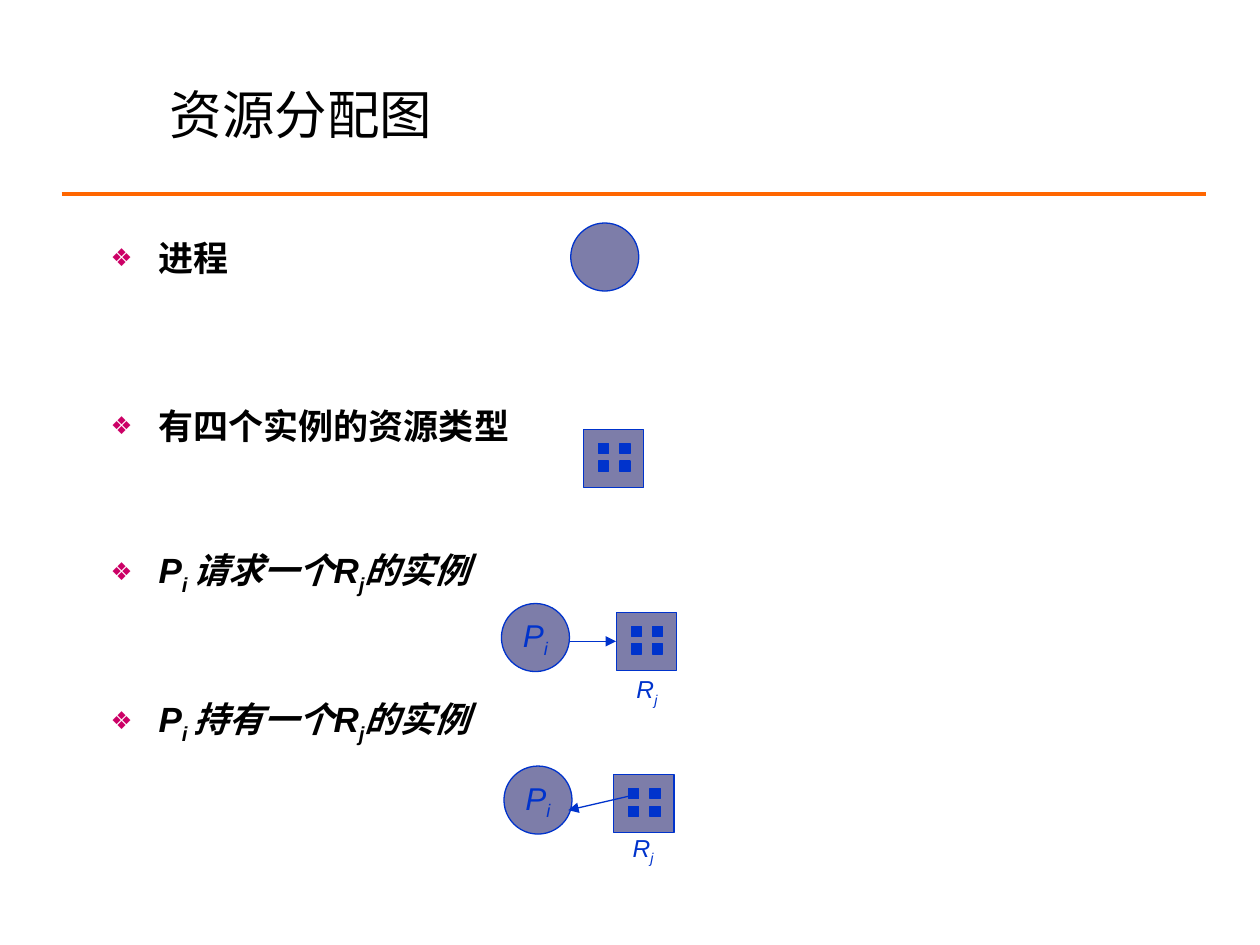
from dataclasses import dataclass
from itertools import product

from lxml.etree import SubElement
from pptx import Presentation
from pptx.dml.color import RGBColor
from pptx.enum.shapes import MSO_CONNECTOR as Connector, MSO_SHAPE as Shape
from pptx.enum.text import MSO_ANCHOR as Anchor, PP_ALIGN as Align
from pptx.oxml.ns import qn
from pptx.util import Inches, Pt


@dataclass(frozen=True)
class Theme:
    font: str = "Arial"
    ink: str = "000000"
    blue: str = "0033CC"
    node: str = "7D7DA9"
    rule: str = "FF6600"
    bullet: str = "CC0066"
    title_size: int = 30
    body_size: int = 20
    node_size: int = 18
    label_size: int = 14
    line: float = 0.75
    rule_line: float = 2.25


THEME = Theme()
CIRCLE = 0.54
BOX_W, BOX_H = 0.48, 0.46


def write(paragraph, text, size, color=THEME.ink, bold=False, italic=False):
    """Write text; parts between underscores are set as subscripts."""
    for index, part in enumerate(text.split("_")):
        if not part:
            continue
        run = paragraph.add_run()
        run.text = part
        font = run.font
        font.name, font.size = THEME.font, Pt(size)
        font.bold, font.italic = bold, italic
        font.color.rgb = RGBColor.from_string(color)
        if index % 2:
            run._r.get_or_add_rPr().set("baseline", "-25000")


def add_text_frame(slide, left, top, width, height, wrap=True, anchor=Anchor.TOP):
    box = slide.shapes.add_textbox(*map(Inches, (left, top, width, height)))
    frame = box.text_frame
    frame.word_wrap, frame.vertical_anchor = wrap, anchor
    return frame


def add_node(shapes, kind, left, top, width, height, fill=THEME.node):
    node = shapes.add_shape(kind, *map(Inches, (left, top, width, height)))
    node.shadow.inherit = False
    node.fill.solid()
    node.fill.fore_color.rgb = RGBColor.from_string(fill)
    node.line.color.rgb = RGBColor.from_string(THEME.blue)
    node.line.width = Pt(THEME.line)
    return node


def add_line(slide, start, end, color=THEME.blue, width=THEME.line, arrow=False):
    line = slide.shapes.add_connector(Connector.STRAIGHT, *map(Inches, start + end))
    line.line.color.rgb = RGBColor.from_string(color)
    line.line.width = Pt(width)
    if arrow:
        SubElement(line.line._get_or_add_ln(), qn("a:tailEnd"), type="triangle")
    SubElement(line._element.spPr, qn("a:effectLst"))
    return line


def add_bullet(paragraph):
    properties = paragraph._p.get_or_add_pPr()
    properties.set("marL", str(Inches(0.38)))
    properties.set("indent", str(Inches(-0.38)))
    color = SubElement(properties, qn("a:buClr"))
    SubElement(color, qn("a:srgbClr"), val=THEME.bullet)
    SubElement(properties, qn("a:buSzPct"), val="70000")
    SubElement(properties, qn("a:buFont"), typeface=THEME.font)
    SubElement(properties, qn("a:buChar"), char="❖")


def add_header(slide, left, top, width, height):
    add_line(slide, (0.49, 1.54), (9.57, 1.54), THEME.rule, THEME.rule_line)
    frame = add_text_frame(slide, left, top, width, height, anchor=Anchor.MIDDLE)
    write(frame.paragraphs[0], "资源分配图", THEME.title_size)


def add_legend(slide, left, top, width, height):
    frame = add_text_frame(slide, left, top, width, height)
    entries = [
        ("进程", 0, False),
        ("有四个实例的资源类型", 72, False),
        ("P_i _请求一个R_j_的实例", 58, True),
        ("P_i _持有一个R_j_的实例", 58, True),
    ]
    for index, (text, gap, italic) in enumerate(entries):
        paragraph = frame.add_paragraph() if index else frame.paragraphs[0]
        paragraph.space_before = Pt(gap)
        add_bullet(paragraph)
        write(paragraph, text, THEME.body_size, bold=True, italic=italic)


def add_process(slide, left, top, name=""):
    circle = add_node(slide.shapes, Shape.OVAL, left, top, CIRCLE, CIRCLE)
    if name:
        frame = circle.text_frame
        frame.word_wrap, frame.vertical_anchor = False, Anchor.MIDDLE
        frame.paragraphs[0].alignment = Align.CENTER
        write(frame.paragraphs[0], name, THEME.node_size, THEME.blue, italic=True)


def add_resource(slide, left, top):
    """Draw a resource type with its four instances; return its outer box."""
    shapes = slide.shapes.add_group_shape().shapes
    box = add_node(shapes, Shape.RECTANGLE, left, top, BOX_W, BOX_H)
    for row, column in product(range(2), repeat=2):
        add_node(shapes, Shape.RECTANGLE, left + 0.12 + 0.17 * column,
                 top + 0.11 + 0.14 * row, 0.08, 0.08, fill=THEME.blue)
    return box


def add_resource_label(slide, left, top):
    frame = add_text_frame(slide, left, top, 0.37, 0.33, wrap=False, anchor=Anchor.MIDDLE)
    frame.paragraphs[0].alignment = Align.CENTER
    write(frame.paragraphs[0], "R_j_", THEME.label_size, THEME.blue, italic=True)


def add_request(slide, left, top):
    """Edge from the process to the resource type."""
    add_process(slide, left, top, "P_i_")
    resource = add_resource(slide, left + 0.91, top + 0.07)
    middle = top + 0.07 + BOX_H / 2
    edge = add_line(slide, (left + CIRCLE, middle), (left + 0.91, middle), arrow=True)
    edge.end_connect(resource, 1)
    add_resource_label(slide, left + 0.97, top + 0.53)


def add_assignment(slide, left, top):
    """Edge from one instance to the process that holds it."""
    add_process(slide, left, top, "P_i_")
    add_resource(slide, left + 0.87, top + 0.07)
    add_line(slide, (left + 1.03, top + 0.23), (left + 0.51, top + 0.35), arrow=True)
    add_resource_label(slide, left + 0.92, top + 0.5)


def main():
    deck = Presentation()
    deck.slide_width, deck.slide_height = Inches(10), Inches(7.5)
    slide = deck.slides.add_slide(deck.slide_layouts[6])

    # Title and list
    add_header(slide, 1.25, 0.46, 7.86, 0.88)
    add_legend(slide, 0.78, 1.83, 7.69, 4.32)

    # Symbols beside the list
    add_process(slide, 4.53, 1.77)
    add_resource(slide, 4.63, 3.41)
    add_request(slide, 3.98, 4.79)
    add_assignment(slide, 4, 6.08)

    deck.save("out.pptx")


if __name__ == "__main__":
    main()
